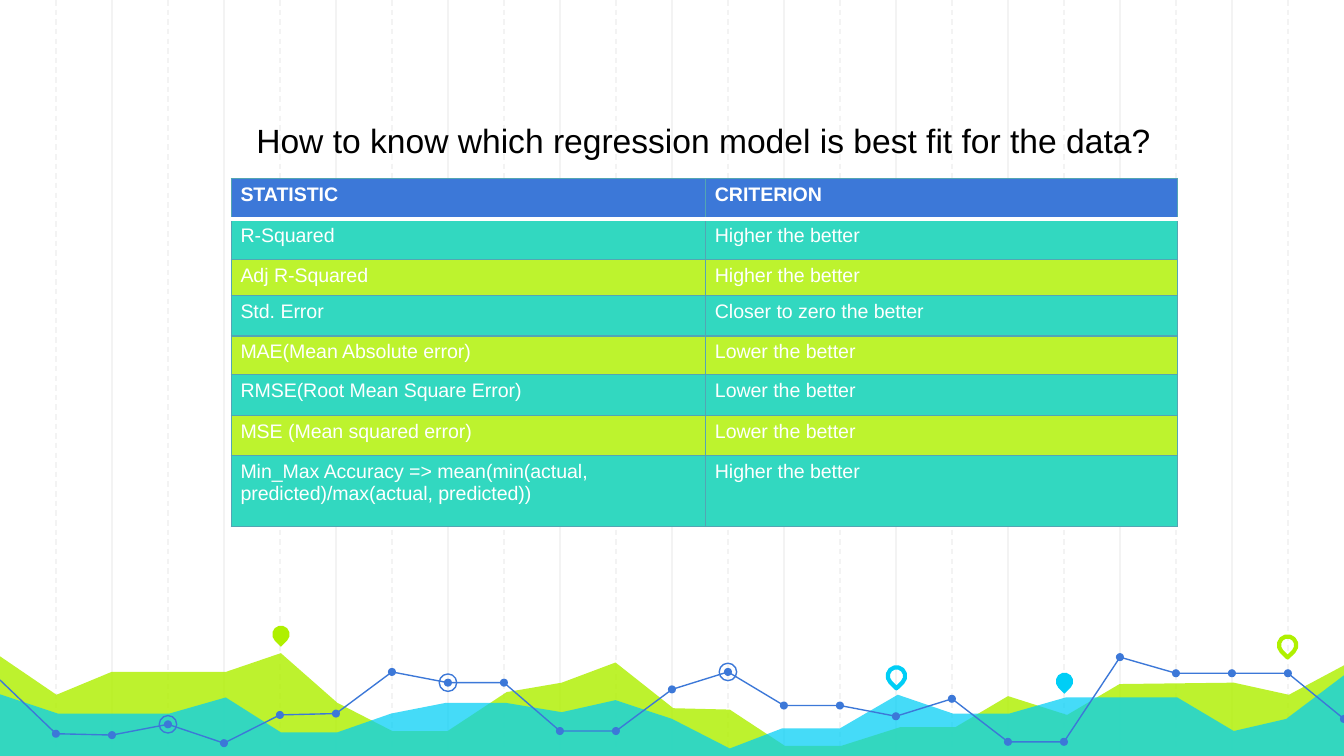
"""Build the slide on choosing the best regression model."""
from lxml import etree
from pptx import Presentation
from pptx.dml.color import RGBColor
from pptx.enum import dml, shapes, text
from pptx.oxml.ns import qn
from pptx.util import Inches, Pt

HUES = {"blue": "3C78D8", "lime": "AFF000", "sky": "00CEF6", "grid": "F3F3F3",
        "teal": "32D8C0", "pale": "BDF32E", "edge": "53A5B3",
        "white": "FFFFFF", "black": "000000"}


def paint(shape, fill=None, line=None, width=0.75):
    shape.shadow.inherit = False
    if fill:
        shape.fill.solid()
        shape.fill.fore_color.rgb = RGBColor.from_string(HUES[fill])
    else:
        shape.fill.background()
    if line:
        shape.line.color.rgb = RGBColor.from_string(HUES[line])
        shape.line.width = Pt(width)
    else:
        shape.line.fill.background()


def trace(points, close):
    spots = [(Inches(x), Inches(y)) for x, y in points]
    pen = slide.shapes.build_freeform(*spots[0], scale=1.0)
    pen.add_line_segments(spots[1:], close=close)
    return pen.convert_to_shape()


deck = Presentation()
deck.slide_width, deck.slide_height = Inches(10), Inches(10 * 9 / 16)
slide = deck.slides.add_slide(deck.slide_layouts[6])
step = 10 / 24

for first, dash in ((2, None), (1, dml.MSO_LINE.DASH)):
    for i in range(first, 24, 2):
        x = Inches(i * step)
        rule = slide.shapes.add_connector(
            shapes.MSO_CONNECTOR.STRAIGHT, x, 0, x, Inches(5.65))
        rule.line.color.rgb = RGBColor.from_string(HUES["grid"])
        rule.line.width = Pt(0.75)
        rule.line.dash_style = dash
        etree.SubElement(rule._element.spPr, qn("a:effectLst"))

hills = [
    ("lime", 82, [
        (-0.02, 4.87), (0.42, 5.17), (0.83, 5), (1.68, 5), (2.09, 4.86),
        (2.51, 5.23), (2.92, 5.44), (3.33, 5.44), (3.77, 5.15), (4.18, 5.08),
        (4.58, 4.93), (5.01, 5.27), (5.43, 5.28), (5.84, 5.55), (6.26, 5.55),
        (6.7, 5.41), (7.11, 5.41), (7.5, 5.18), (7.94, 5.32), (8.33, 5.09),
        (9.18, 5.08), (9.59, 5.17), (10.02, 4.94)]),
    ("sky", 73, [
        (-0.02, 5.16), (0.43, 5.31), (1.26, 5.31), (1.68, 5.19), (2.09, 5.45),
        (2.51, 5.45), (2.91, 5.31), (3.32, 5.23), (3.76, 5.23), (4.18, 5.3),
        (4.58, 5.21), (5, 5.35), (5.43, 5.57), (5.82, 5.42), (6.25, 5.42),
        (6.68, 5.17), (7.09, 5.31), (7.51, 5.31), (7.93, 5.19), (8.76, 5.19),
        (9.18, 5.44), (9.57, 5.35), (10.02, 5.01)])]
for hue, alpha, crest in hills:
    hill = trace(crest + [(10.02, 5.65), (-0.03, 5.65)], True)
    paint(hill, hue)
    tint = hill._element.spPr.find(qn("a:solidFill"))[0]
    etree.SubElement(tint, qn("a:alpha"), val=str(alpha * 1000))

levels = [5.06, 5.46, 5.47, 5.39, 5.53, 5.32, 5.31, 5, 5.08, 5.08, 5.44, 5.44, 5.13,
          5, 5.25, 5.25, 5.33, 5.2, 5.52, 5.52, 4.89, 5.01, 5.01, 5.01, 5.35]
trend = [(i * step, y) for i, y in enumerate(levels)]
for start, end in ((0, 11), (11, 20), (20, 24)):
    paint(trace(trend[start:end + 1], False), line="blue")

OVAL, DROP = shapes.MSO_SHAPE.OVAL, shapes.MSO_SHAPE.TEAR
marks = [(OVAL, x, y, 0.06, "blue", None, 0) for x, y in trend[1:]]
marks += [(OVAL, *trend[i], 0.13, None, "blue", 0.75) for i in (3, 8, 13)]
marks += [(DROP, 2.09, 4.72, 0.13, "lime", None, 0),
          (DROP, 6.67, 5.03, 0.13, None, "sky", 2.25),
          (DROP, 7.92, 5.07, 0.13, "sky", None, 0),
          (DROP, 9.58, 4.8, 0.13, None, "lime", 2.25)]
for kind, x, y, size, fill, line, width in marks:
    mark = slide.shapes.add_shape(kind, Inches(x - size / 2), Inches(y - size / 2),
                                  Inches(size), Inches(size))
    mark.rotation = 135 if kind == DROP else 0
    paint(mark, fill, line, width)

rows = [("STATISTIC", "CRITERION", 0.3),
        ("R-Squared", "Higher the better", 0.3),
        ("Adj R-Squared", "Higher the better", 0.27),
        ("Std. Error", "Closer to zero the better", 0.3),
        ("MAE(Mean Absolute error)", "Lower the better", 0.29),
        ("RMSE(Root Mean Square Error)", "Lower the better", 0.3),
        ("MSE (Mean squared error)", "Lower the better", 0.3),
        ("Min_Max Accuracy => mean(min(actual, predicted)/max(actual, predicted))",
         "Higher the better", 0.53)]
table = slide.shapes.add_table(len(rows), 2, Inches(1.72), Inches(1.33),
                               Inches(7.04), Inches(2.59)).table
table.first_row = table.horz_banding = False
table.columns[0].width, table.columns[1].width = Inches(3.53), Inches(3.51)
for r, (*words, height) in enumerate(rows):
    table.rows[r].height = Inches(height)
    for c, word in enumerate(words):
        cell = table.cell(r, c)
        cell.text_frame.text = word
        cell.margin_left = cell.margin_right = Inches(0.07)
        cell.margin_top = cell.margin_bottom = Inches(0.04)
        font = cell.text_frame.paragraphs[0].runs[0].font
        font.name, font.size, font.bold = "Arial", Pt(10.5), r == 0
        font.color.rgb = RGBColor.from_string(HUES["white"])
        props = cell._tc.get_or_add_tcPr()
        for side in "LRTB":
            split = (r, side) in ((0, "B"), (1, "T"))
            edge = etree.SubElement(props, qn("a:ln" + side),
                                    w=str(Pt(2 if split else 0.75)))
            ink = etree.SubElement(edge, qn("a:solidFill"))
            etree.SubElement(ink, qn("a:srgbClr"),
                             val=HUES["white" if split else "edge"])
        cell.fill.solid()
        hue = "blue" if r == 0 else ("pale", "teal")[r % 2]
        cell.fill.fore_color.rgb = RGBColor.from_string(HUES[hue])

title = slide.shapes.add_textbox(Inches(1.18), Inches(0.84), Inches(8.11), Inches(0.4))
frame = title.text_frame
frame.word_wrap = True
frame.auto_size = text.MSO_AUTO_SIZE.SHAPE_TO_FIT_TEXT
frame.text = "How to know which regression model is best fit for the data?"
frame.paragraphs[0].alignment = text.PP_ALIGN.CENTER
font = frame.paragraphs[0].runs[0].font
font.name, font.size = "Arial", Pt(18)
font.color.rgb = RGBColor.from_string(HUES["black"])

deck.save("out.pptx")
